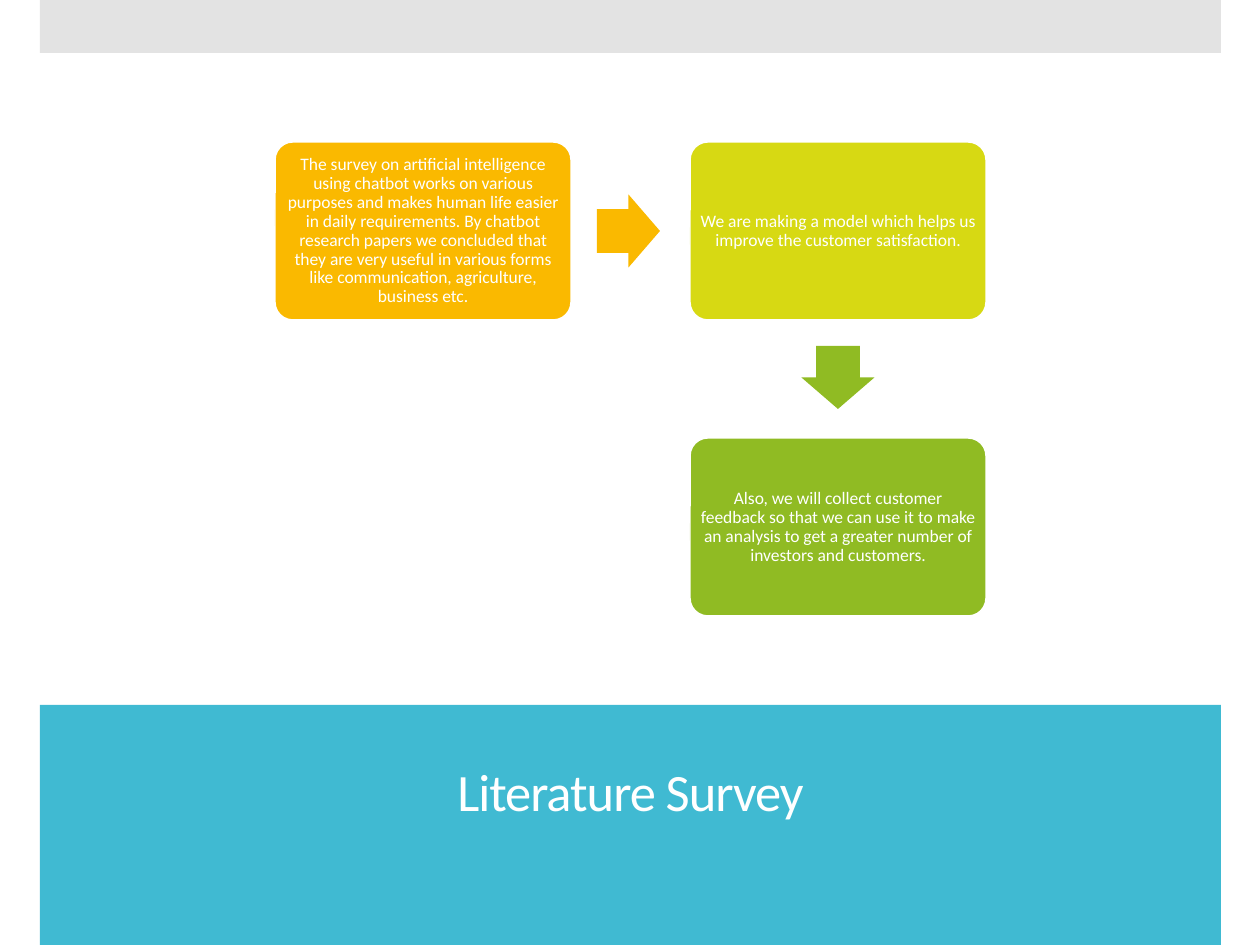
"""Build the literature survey slide: a three-step flow above a title band."""
from dataclasses import dataclass

from lxml.etree import SubElement
from pptx import Presentation
from pptx.dml.color import RGBColor as Rgb
from pptx.enum.shapes import MSO_SHAPE as Shape
from pptx.enum.text import MSO_ANCHOR as Anchor, PP_ALIGN as Align
from pptx.oxml.ns import qn
from pptx.util import Pt

EMU_PER_PX = 914400 / 126
SLIDE_W, SLIDE_H = 1260, 945
BAND_X, BAND_W = 40, 1181
NODE_X, NODE_Y, NODE_W, NODE_H = 275, 142, 296, 178
STEP_X, STEP_Y = 415, 296
ARROW_LENGTH, ARROW_BREADTH, ARROW_GAP = 63, 73, 26


@dataclass(frozen=True)
class Theme:
    font: str = "Calibri"
    title_size: float = 30
    node_size: float = 10
    outline: float = 0.85
    white: str = "FFFFFF"
    grey: str = "C8C8C8"
    blue: str = "40BAD2"
    amber: str = "FAB900"
    lime: str = "D7D913"
    green: str = "90BB23"


THEME = Theme()

STEPS = [
    (0, 0, THEME.amber,
     "The survey on artificial intelligence using chatbot works on various "
     "purposes and makes human life easier in daily requirements. By chatbot "
     "research papers we concluded that they are very useful in various forms "
     "like communication, agriculture, business etc."),
    (1, 0, THEME.lime,
     "We are making a model which helps us improve the customer satisfaction."),
    (1, 1, THEME.green,
     "Also, we will collect customer feedback so that we can use it to make an "
     "analysis to get a greater number of investors and customers."),
]


def px(length):
    return round(length * EMU_PER_PX)


def apply(target, values):
    for name, value in values.items():
        setattr(target, name, value)


def add_block(slide, preset, box, color, adjustments=()):
    block = slide.shapes.add_shape(preset, *map(px, box))
    block.shadow.inherit = False
    block.fill.solid()
    block.fill.fore_color.rgb = Rgb.from_string(color)
    block.line.fill.background()
    for index, value in enumerate(adjustments):
        block.adjustments[index] = value
    return block


def write_text(holder, text, size):
    frame = holder.text_frame
    apply(frame, {"text": text, "word_wrap": True,
                  "vertical_anchor": Anchor.MIDDLE})
    paragraph = frame.paragraphs[0]
    apply(paragraph, {"alignment": Align.CENTER, "line_spacing": 0.9})
    run = paragraph.runs[0]
    apply(run.font, {"name": THEME.font, "size": Pt(size)})
    run.font.color.rgb = Rgb.from_string(THEME.white)
    return run


def add_bands(slide):
    add_block(slide, Shape.RECTANGLE, (BAND_X, 705, BAND_W, 240), THEME.blue)
    top_band = add_block(slide, Shape.RECTANGLE, (BAND_X, 0, BAND_W, 53), THEME.grey)
    tint = next(top_band.element.iter(qn("a:srgbClr")))
    SubElement(tint, qn("a:alpha"), val="50000")


def place_title(slide, text):
    title = slide.shapes.title
    apply(title, {"left": px(67), "top": px(724),
                  "width": px(1127), "height": px(141)})
    run = write_text(title, text, THEME.title_size)
    run.font._element.set("spc", "-60")
    slide.shapes.element.append(title.element)


def add_node(slide, column, row, color, text):
    box = (NODE_X + column * STEP_X, NODE_Y + row * STEP_Y, NODE_W, NODE_H)
    node = add_block(slide, Shape.ROUNDED_RECTANGLE, box, color, [0.1])
    node.line.color.rgb = Rgb.from_string(THEME.white)
    node.line.width = Pt(THEME.outline)
    sides = ("left", "top", "right", "bottom")
    apply(node.text_frame, {f"margin_{side}": px(5) for side in sides})
    write_text(node, text, THEME.node_size)


def add_arrows(slide):
    across = (NODE_X + NODE_W + ARROW_GAP,
              NODE_Y + (NODE_H - ARROW_BREADTH) / 2,
              ARROW_LENGTH, ARROW_BREADTH)
    down = (NODE_X + STEP_X + (NODE_W - ARROW_BREADTH) / 2,
            NODE_Y + NODE_H + ARROW_GAP,
            ARROW_BREADTH, ARROW_LENGTH)
    add_block(slide, Shape.RIGHT_ARROW, across, THEME.amber, [0.6, 0.5])
    add_block(slide, Shape.DOWN_ARROW, down, THEME.green, [0.6, 0.5])


def main():
    deck = Presentation()
    apply(deck, {"slide_width": px(SLIDE_W), "slide_height": px(SLIDE_H)})
    slide = deck.slides.add_slide(deck.slide_layouts[5])
    add_bands(slide)
    place_title(slide, "Literature Survey")
    for step in STEPS:
        add_node(slide, *step)
    add_arrows(slide)
    deck.save("out.pptx")


if __name__ == "__main__":
    main()
